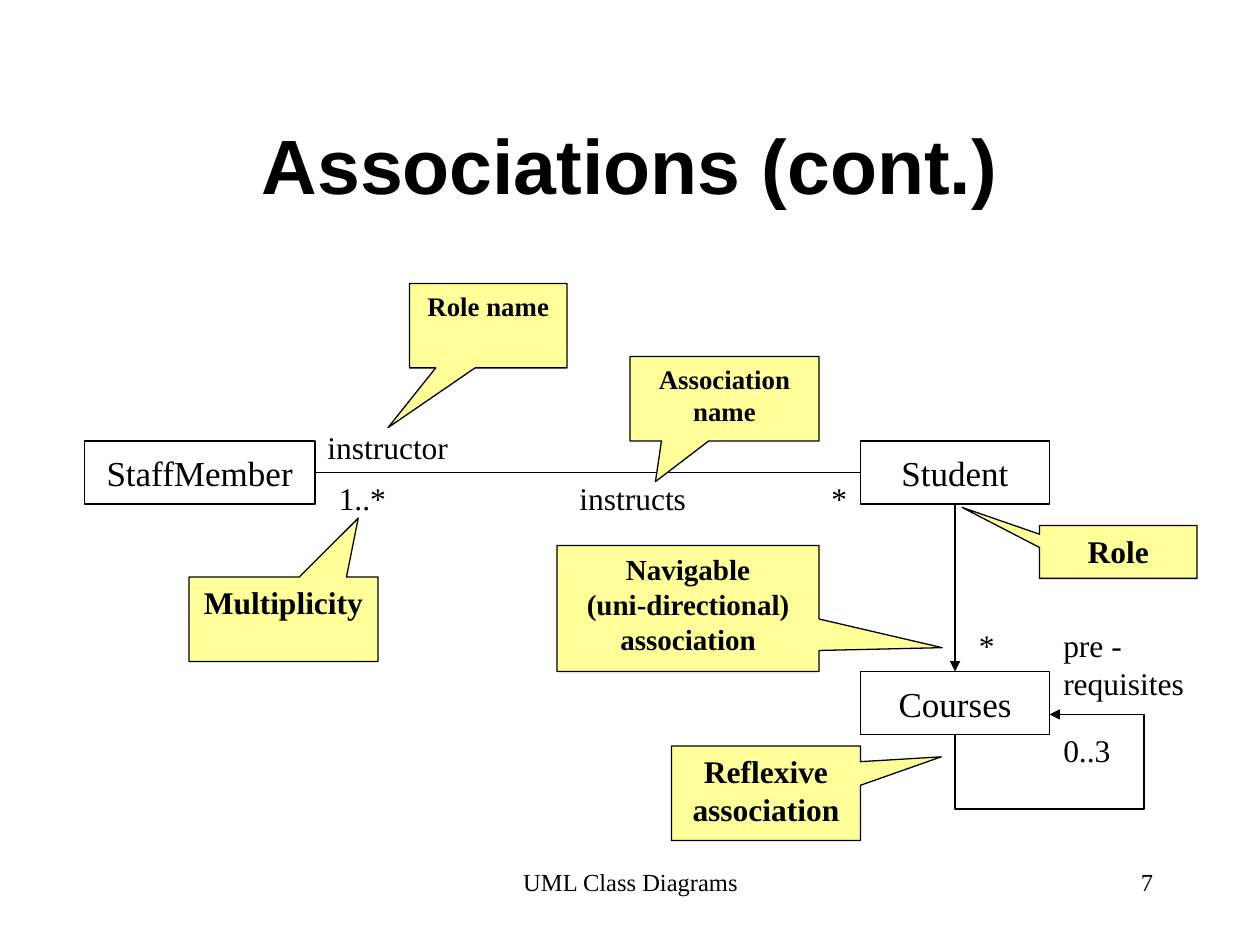
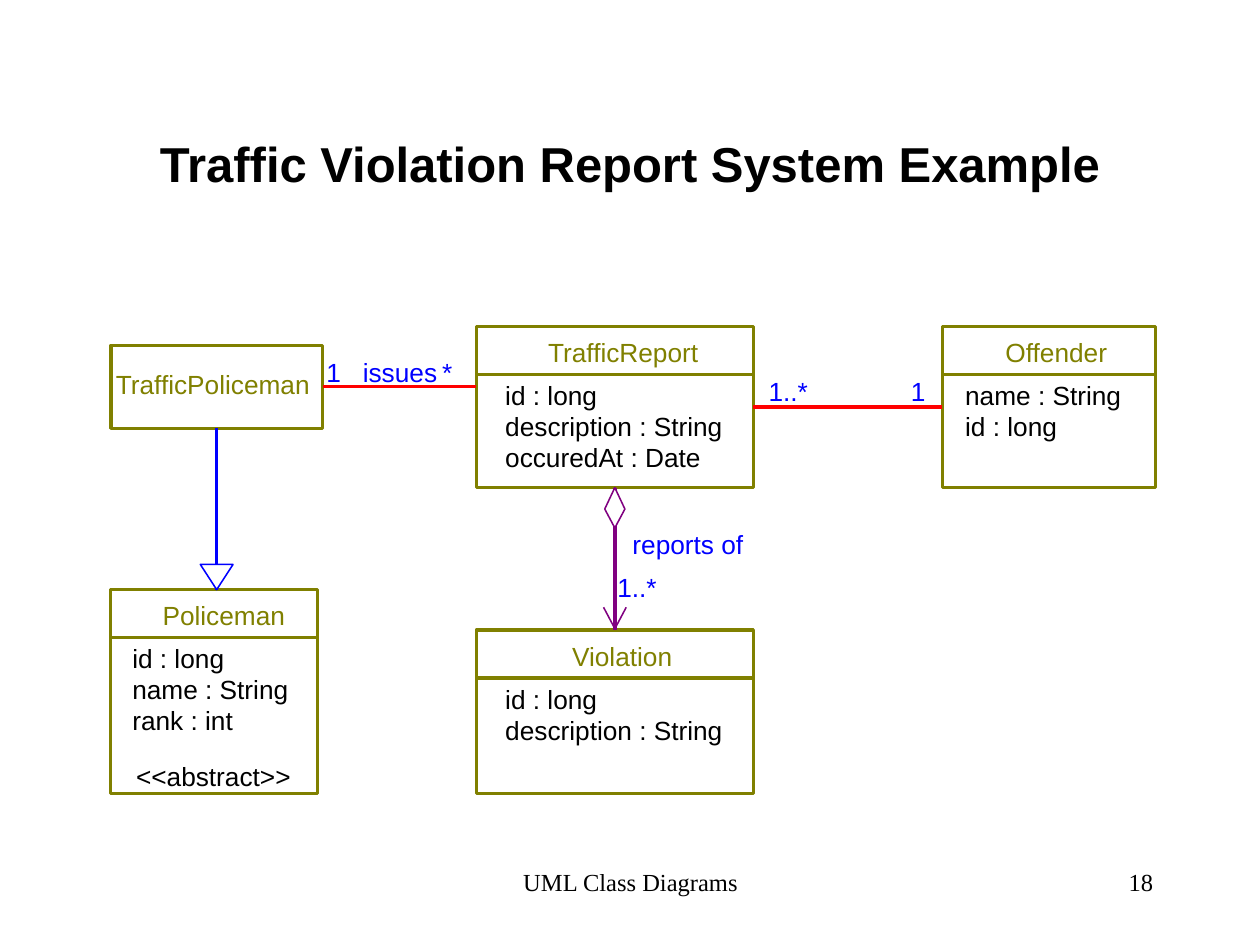
from dataclasses import dataclass
from typing import Any

from lxml.etree import SubElement
from pptx import Presentation
from pptx.dml.color import RGBColor
from pptx.enum.shapes import MSO_CONNECTOR, MSO_SHAPE
from pptx.enum.text import MSO_ANCHOR, PP_ALIGN
from pptx.oxml.ns import qn
from pptx.util import Inches, Pt

COLORS = {
    "ink": "000000",
    "paper": "FFFFFF",
    "note": "FFFF99",
    "olive": "808000",
    "blue": "0000FF",
    "red": "FF0000",
    "purple": "800080",
}
SERIF = "Times New Roman"
SANS = "Arial"
THIN, MARKER, THICK = 0.75, 0.88, 1.87
ROW_HEIGHT = 0.25
ROW_PITCH = 0.245
SLACK = 0.05  # spare label width, so that no label breaks


@dataclass
class Region:
    """A part of a page; lengths drawn in it count from its top left corner."""
    page: Any
    left: float = 0
    top: float = 0

    def within(self, left, top):
        return Region(self.page, self.left + left, self.top + top)

    def point(self, left, top):
        return Inches(self.left + left), Inches(self.top + top)

    def frame(self, left, top, width, height):
        return *self.point(left, top), Inches(width), Inches(height)


def color(name):
    return RGBColor.from_string(COLORS[name])


def style_line(shape, line_color, weight, arrow=False):
    shape.line.color.rgb = color(line_color)
    shape.line.width = Pt(weight)
    if arrow:
        SubElement(shape.line._get_or_add_ln(), qn("a:tailEnd"), type="triangle")


def style_shape(shape, fill, line_color, weight, arrow=False):
    shape.shadow.inherit = False
    if fill:
        shape.fill.solid()
        shape.fill.fore_color.rgb = color(fill)
    else:
        shape.fill.background()
    style_line(shape, line_color, weight, arrow)


def write(shape, text, size, font=SERIF, ink="ink", bold=False,
          align=PP_ALIGN.LEFT, anchor=MSO_ANCHOR.TOP, wrap=True):
    frame = shape.text_frame
    frame.word_wrap = wrap
    frame.vertical_anchor = anchor
    para = frame.paragraphs[0]
    para.text = text
    para.alignment = align
    for span in para.runs:
        span.font.name = font
        span.font.size = Pt(size)
        span.font.bold = bold
        span.font.color.rgb = color(ink)


def text_box(region, box, text, size, **style):
    shape = region.page.shapes.add_textbox(*region.frame(*box))
    write(shape, text, size, **style)
    return shape


def rectangle(region, box, line_color, weight):
    shape = region.page.shapes.add_shape(MSO_SHAPE.RECTANGLE, *region.frame(*box))
    style_shape(shape, None, line_color, weight)
    return shape


def line(region, start, end, line_color, weight, arrow=False):
    connector = region.page.shapes.add_connector(
        MSO_CONNECTOR.STRAIGHT, *region.point(*start), *region.point(*end))
    style_line(connector, line_color, weight, arrow)
    SubElement(connector._element.spPr, qn("a:effectLst"))


def outline(region, points, line_color, weight, fill=None, close=False, arrow=False):
    first, *rest = [region.point(*point) for point in points]
    builder = region.page.shapes.build_freeform(*first)
    builder.add_line_segments(rest, close=close)
    style_shape(builder.convert_to_shape(), fill, line_color, weight, arrow)


def add_page(deck, title, title_size, number):
    """Add a blank page with the shared title and footer."""
    page = deck.slides.add_slide(deck.slide_layouts[6])
    footer = Region(page, 3.42, 6.83)
    text_box(footer, (0, 0, 3.17, 0.5), "UML Class Diagrams", 14, align=PP_ALIGN.CENTER)
    text_box(footer, (3.75, 0, 2.08, 0.5), number, 14, align=PP_ALIGN.RIGHT)
    text_box(Region(page), (0.75, 0.67, 8.5, 1.25), title, title_size, font=SANS,
             bold=True, align=PP_ALIGN.CENTER, anchor=MSO_ANCHOR.MIDDLE)
    return page


def plain_class(region, box, name):
    shape = rectangle(region, box, "ink", THIN)
    write(shape, name, 20, align=PP_ALIGN.CENTER, anchor=MSO_ANCHOR.MIDDLE, wrap=False)


def callout(region, box, tip, text, size):
    shape = region.page.shapes.add_shape(
        MSO_SHAPE.RECTANGULAR_CALLOUT, *region.frame(*box))
    shape.adjustments[0], shape.adjustments[1] = tip
    style_shape(shape, "note", "ink", THIN)
    write(shape, text, size, bold=True, align=PP_ALIGN.CENTER)


def associations_diagram(region):
    plain_class(region, (0, 1.25, 1.83, 0.5), "StaffMember")
    for top, name in ((1.25, "Student"), (3.08, "Courses")):
        plain_class(region, (6.16, top, 1.5, 0.5), name)

    line(region, (1.83, 1.5), (6.16, 1.5), "ink", THIN)
    line(region, (6.91, 1.75), (6.91, 3.08), "ink", THIN, arrow=True)
    reflexive_loop = [(6.91, 3.58), (6.91, 4.17), (8.41, 4.17), (8.41, 3.42), (7.66, 3.42)]
    outline(region, reflexive_loop, "ink", THIN, arrow=True)

    labels = [
        (1.83, 1.1, 1.16, 0.4, "instructor"),
        (1.92, 1.5, 0.57, 0.4, "1..*"),
        (3.83, 1.5, 1.04, 0.4, "instructs"),
        (5.83, 1.5, 0.32, 0.4, "*"),
        (7, 2.67, 0.32, 0.4, "*"),
        (7.67, 2.67, 1.16, 0.7, "pre -\vrequisites"),
        (7.67, 3.5, 0.57, 0.4, "0..3"),
    ]
    for left, top, width, height, text in labels:
        text_box(region, (left, top, width + SLACK, height), text, 18)

    callouts = [
        ((4.33, 0.58, 1.5, 0.67), (-0.365, 0.982), "Association name", 15.3),
        ((2.58, 0, 1.25, 0.67), (-0.637, 1.208), "Role name", 15.3),
        ((0.83, 2.33, 1.5, 0.67), (0.396, -1.198), "Multiplicity", 18),
        ((3.75, 2.08, 2.08, 1), (0.97, 0.311),
         "Navigable\v(uni-directional) association", 16.6),
        ((4.66, 3.67, 1.5, 0.75), (0.927, -0.384), "Reflexive association", 18),
        ((7.58, 1.92, 1.25, 0.42), (-0.992, -0.842), "Role", 18),
    ]
    for box, tip, text, size in callouts:
        callout(region, box, tip, text, size)


def label(region, left, top, width, text, ink="ink"):
    shape = text_box(region, (left, top, width + SLACK, ROW_HEIGHT), text, 15,
                     font=SANS, ink=ink)
    frame = shape.text_frame
    frame.margin_left = frame.margin_right = frame.margin_top = frame.margin_bottom = 0


def detailed_class(region, width, height, name, indent, attributes):
    """Draw a class with a name band; name is (left, width, text)."""
    rectangle(region, (0, 0, width, height), "olive", THICK)
    line(region, (0, 0.38), (width, 0.38), "olive", THICK)
    name_left, name_width, text = name
    label(region, name_left, 0.08, name_width, text, "olive")
    for row, (attribute, attribute_width) in enumerate(attributes):
        label(region, indent, 0.42 + row * ROW_PITCH, attribute_width, attribute)


def traffic_diagram(region):
    identity = ("id : long", 0.73)
    person_name = ("name : String", 1.24)
    description = ("description : String", 1.73)

    detailed_class(region.within(0, 2.09), 1.64, 1.62, (0.41, 0.97, "Policeman"),
                   0.17, [identity, person_name, ("rank : int", 0.8)])
    label(region, 0.2, 3.44, 1.23, "<<abstract>>")
    rectangle(region, (0, 0.15, 1.68, 0.66), "olive", THICK)
    label(region, 0.04, 0.33, 1.55, "TrafficPoliceman", "olive")
    detailed_class(region.within(2.9, 0), 2.2, 1.28, (0.57, 1.2, "TrafficReport"),
                   0.23, [identity, description, ("occuredAt : Date", 1.55)])
    detailed_class(region.within(2.9, 2.41), 2.2, 1.3, (0.76, 0.8, "Violation"),
                   0.23, [identity, description])
    detailed_class(region.within(6.6, 0), 1.69, 1.28, (0.5, 0.81, "Offender"),
                   0.18, [person_name, identity])

    relation_labels = [
        (1.71, 0.24, 0.12, "1"),
        (2, 0.24, 0.59, "issues"),
        (2.63, 0.24, 0.08, "*"),
        (5.22, 0.39, 0.31, "1..*"),
        (6.35, 0.39, 0.12, "1"),
        (4.14, 1.6, 0.88, "reports of"),
        (4.02, 1.94, 0.31, "1..*"),
    ]
    for left, top, width, text in relation_labels:
        label(region, left, top, width, text, "blue")

    relations = [
        ((0.84, 0.81), (0.84, 2.09), "blue"),
        ((1.68, 0.48), (2.9, 0.48), "red"),
        ((5.1, 0.64), (6.6, 0.64), "red"),
        ((4, 1.28), (4, 2.41), "purple"),
    ]
    for start, end, line_color in relations:
        line(region, start, end, line_color, THICK)

    inheritance = [(0.71, 1.89), (0.84, 2.09), (0.97, 1.89)]
    aggregation = [(4, 1.6), (4.08, 1.45), (4, 1.28), (3.92, 1.45)]
    navigation = [(3.91, 2.23), (4, 2.4), (4.09, 2.23)]
    outline(region, inheritance, "blue", MARKER, fill="paper", close=True)
    outline(region, aggregation, "purple", MARKER, fill="paper", close=True)
    outline(region, navigation, "purple", MARKER)


def main():
    deck = Presentation()
    deck.slide_width, deck.slide_height = Inches(10), Inches(7.5)
    page = add_page(deck, "Associations (cont.)", 44, "7")
    associations_diagram(Region(page, 0.67, 2.25))
    page = add_page(deck, "Traffic Violation Report System Example", 28, "18")
    traffic_diagram(Region(page, 0.88, 2.59))
    deck.save("out.pptx")


if __name__ == "__main__":
    main()
